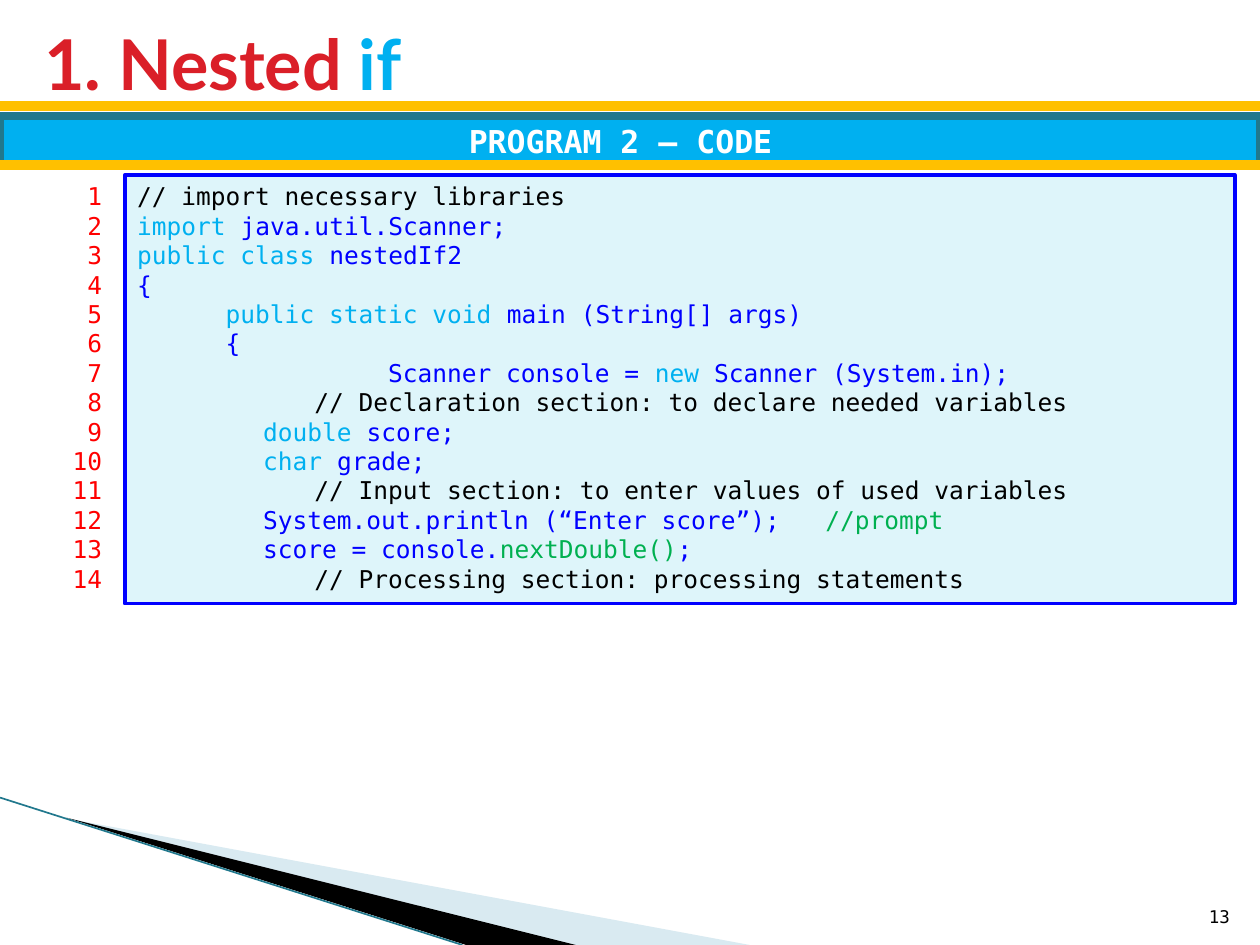
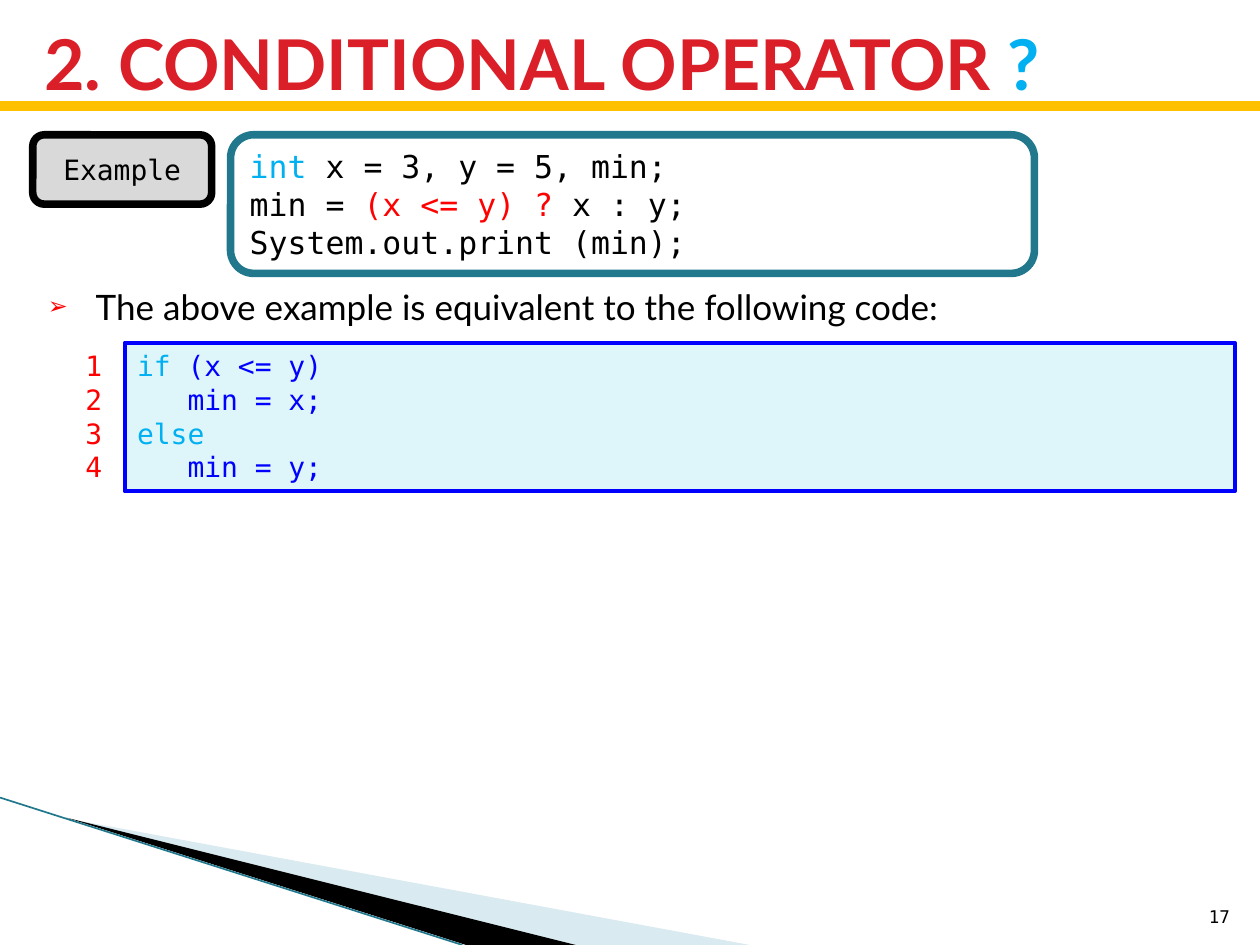
from lxml import etree
from pptx import Presentation
from pptx import util as u
from pptx.dml.color import RGBColor
from pptx.enum import shapes, text
from pptx.oxml import ns

MONO, SANS = "DejaVu Sans Mono", "Lato"
BLACK, WHITE, GREY = "000000", "FFFFFF", "D9D9D9"
RED, CRIMSON, GOLD = "FF0000", "DA1F28", "FFC000"
SKY, BLUE, TEAL, GREEN = "00B0F0", "0000FF", "21788D", "00B050"
PALE, SWOOSH = "DEF5FA", "A0CBDC"
RULE_Y = 0.84
ALIGN, ANCHOR = text.PP_ALIGN, text.MSO_ANCHOR
SHAPE = shapes.MSO_SHAPE


def rgb(value):
    return RGBColor.from_string(value)


def add_child(parent, tag, **attrs):
    return etree.SubElement(parent, ns.qn(tag), attrs)


class Deck:
    """Holds the shared style and the slide being built."""

    def __init__(self):
        self.prs = Presentation()
        self.prs.slide_width = u.Inches(10)
        self.prs.slide_height = u.Inches(7.5)
        self.s = None

    def new_slide(self, title, number, layout):
        self.s = self.prs.slides.add_slide(self.prs.slide_layouts.get_by_name(layout))
        self.corner()
        self.line((0, RULE_Y), (10, RULE_Y), GOLD, 6)
        self.title(title)
        self.label([[(BLACK, str(number))]], (9.46, 7.01, 0.4, 0.4), 10, ANCHOR.BOTTOM)

    def corner(self):
        """Sweeping wedges at the bottom left."""
        self.wedge([(0.55, 6.5), (5.95, 7.5), (4.56, 7.5)], SWOOSH, 40)
        self.wedge([(0.53, 6.49), (4.57, 7.5), (3.7, 7.5)], BLACK)
        self.line((0, 6.33), (3.67, 7.5), TEAL, 0.95)

    def wedge(self, points, colour, opacity=100):
        start, *rest = [(u.Inches(x), u.Inches(y)) for x, y in points]
        builder = self.s.shapes.build_freeform(*start)
        builder.add_line_segments(rest)
        sp = builder.convert_to_shape()
        self.paint(sp, colour)
        if opacity < 100:
            fill = sp._element.spPr.find(ns.qn("a:solidFill"))
            add_child(fill[0], "a:alpha", val=str(opacity * 1000))

    def line(self, start, end, colour, width):
        ends = [u.Inches(v) for v in (*start, *end)]
        c = self.s.shapes.add_connector(shapes.MSO_CONNECTOR.STRAIGHT, *ends)
        c.line.color.rgb = rgb(colour)
        c.line.width = u.Pt(width)
        add_child(c._element.spPr, "a:effectLst")

    def paint(self, sp, fill, line=None, width=0):
        sp.shadow.inherit = False
        sp.fill.solid()
        sp.fill.fore_color.rgb = rgb(fill)
        if line:
            sp.line.color.rgb = rgb(line)
            sp.line.width = u.Pt(width)
        else:
            sp.line.fill.background()

    def place(self, sp, box):
        sp.left, sp.top, sp.width, sp.height = [u.Inches(v) for v in box]

    def set_text(self, sp, lines, size, align=ALIGN.LEFT, anchor=ANCHOR.TOP,
                 font=MONO, bold=False):
        """Fill a shape with lines, each a list of (colour, text) runs."""
        tf = sp.text_frame
        tf.word_wrap = True
        tf.auto_size = text.MSO_AUTO_SIZE.NONE
        tf.vertical_anchor = anchor
        for i, line in enumerate(lines):
            p = tf.add_paragraph() if i else tf.paragraphs[0]
            p.alignment = align
            if font == MONO:
                p.line_spacing = u.Pt(size * 1.2)
            for colour, words in line:
                r = p.add_run()
                r.text = words
                r.font.name, r.font.size, r.font.bold = font, u.Pt(size), bold
                r.font.color.rgb = rgb(colour)
        return tf

    def title(self, runs):
        sp = self.s.shapes.title
        self.place(sp, (0.25, 0.17, 9.47, 0.65))
        self.set_text(sp, [runs], 40, anchor=ANCHOR.MIDDLE, font=SANS, bold=True)

    def bullet(self, words, box):
        sp = self.s.placeholders[1]
        self.place(sp, box)
        tf = self.set_text(sp, [[(BLACK, words)]], 20, ALIGN.JUSTIFY, font=SANS)
        p = tf.paragraphs[0]
        pPr = p._p.get_or_add_pPr()
        indent = u.Inches(0.38)
        pPr.set("marL", str(indent))
        pPr.set("indent", str(-indent))
        add_child(add_child(pPr, "a:buClr"), "a:srgbClr", val=RED)
        add_child(pPr, "a:buSzPct", val="68000")
        add_child(pPr, "a:buChar", char="➢")
        p.line_spacing = 0.9
        p.space_before = u.Pt(0)

    def label(self, lines, box, size, anchor=ANCHOR.TOP):
        """Right-aligned text without a frame."""
        sp = self.s.shapes.add_textbox(*[u.Inches(v) for v in box])
        self.set_text(sp, lines, size, ALIGN.RIGHT, anchor)

    def panel(self, kind, box, lines, size, fill, line, width=4.33,
              align=ALIGN.CENTER, anchor=ANCHOR.MIDDLE, bold=False):
        sp = self.s.shapes.add_shape(kind, *[u.Inches(v) for v in box])
        self.paint(sp, fill, line, width)
        return self.set_text(sp, lines, size, align, anchor, bold=bold)

    def code(self, lines, top, height, size):
        """Framed listing with line numbers at its left."""
        tf = self.panel(SHAPE.RECTANGLE, (0.99, top, 8.81, height), lines, size,
                        PALE, BLUE, 2.25, ALIGN.LEFT, ANCHOR.TOP)
        for p in tf.paragraphs:
            tabs = add_child(p._p.get_or_add_pPr(), "a:tabLst")
            add_child(tabs, "a:tab", pos=str(u.Inches(1)), algn="l")
        numbers = [[(RED, str(n))] for n in range(1, len(lines) + 1)]
        self.label(numbers, (0.2, top, 0.71, height), size)


NESTED_IF = [
    [(BLACK, "// import necessary libraries")],
    [(SKY, "import "), (BLUE, "java.util.Scanner;")],
    [(SKY, "public class"), (BLUE, " nestedIf2")],
    [(BLUE, "{")],
    [(SKY, "      public static void"), (BLUE, " main (String[] args)")],
    [(BLUE, "      {")],
    [(BLUE, "                 Scanner console = "), (SKY, "new"),
     (BLUE, " Scanner (System.in);")],
    [(BLACK, "            // Declaration section: to declare needed variables")],
    [(SKY, "\tdouble"), (BLUE, " score;")],
    [(SKY, "\tchar"), (BLUE, " grade;")],
    [(BLACK, "            // Input section: to enter values of used variables")],
    [(BLUE, "\tSystem.out.println (“Enter score”);   "), (GREEN, "//prompt")],
    [(BLUE, "\tscore = console."), (GREEN, "nextDouble()"), (BLUE, ";")],
    [(BLACK, "            // Processing section: processing statements")],
]
CONDITIONAL = [
    [(SKY, "int"), (BLACK, " x = 3, y = 5, min;")],
    [(BLACK, "min = "), (RED, "(x <= y) ?"), (BLACK, " x : y;")],
    [(BLACK, "System.out.print (min);")],
]
IF_ELSE = [
    [(SKY, "if"), (BLUE, " (x <= y)")],
    [(BLUE, "   min = x;")],
    [(SKY, "else")],
    [(BLUE, "   min = y;")],
]


def nested_if_slide(deck):
    deck.new_slide([(CRIMSON, "1. Nested "), (SKY, "if")], 13, "Title Only")
    deck.panel(SHAPE.RECTANGLE, (0, 0.92, 10, 0.39), [[(WHITE, "PROGRAM 2 – CODE ")]],
               18, SKY, TEAL, bold=True)
    deck.line((0, 1.31), (10, 1.31), GOLD, 6)
    deck.code(NESTED_IF, 1.39, 3.4, 14)


def conditional_slide(deck):
    deck.new_slide([(CRIMSON, "2. CONDITIONAL OPERATOR "), (SKY, "?")], 17,
                   "Title and Content")
    deck.panel(SHAPE.ROUNDED_RECTANGLE, (0.26, 1.07, 1.42, 0.55),
               [[(BLACK, "Example")]], 16, GREY, BLACK)
    deck.panel(SHAPE.ROUNDED_RECTANGLE, (1.83, 1.07, 6.38, 1.1), CONDITIONAL,
               18, WHITE, TEAL, align=ALIGN.LEFT)
    deck.bullet("The above example is equivalent to the following code:",
                (0.28, 2.25, 9.45, 0.46))
    deck.code(IF_ELSE, 2.72, 1.18, 16)


def main():
    deck = Deck()
    nested_if_slide(deck)
    conditional_slide(deck)
    deck.prs.save("out.pptx")


if __name__ == "__main__":
    main()
